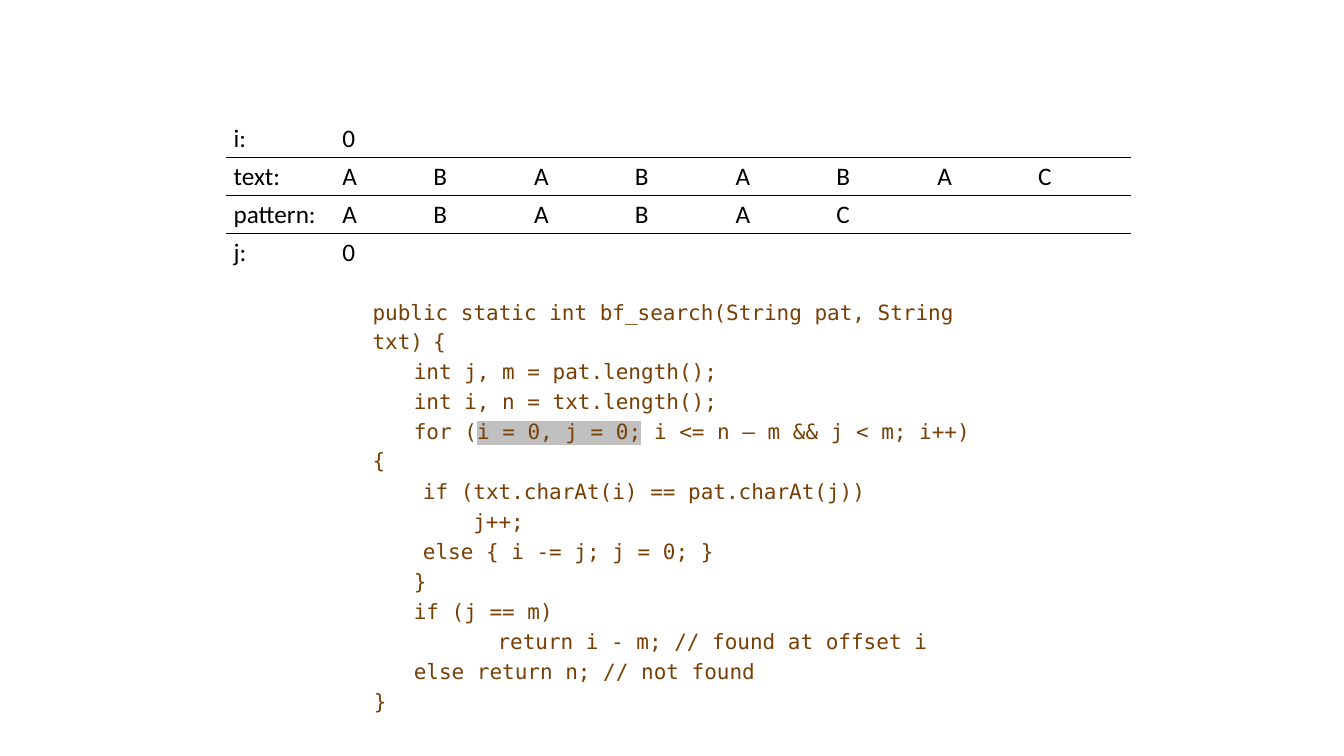
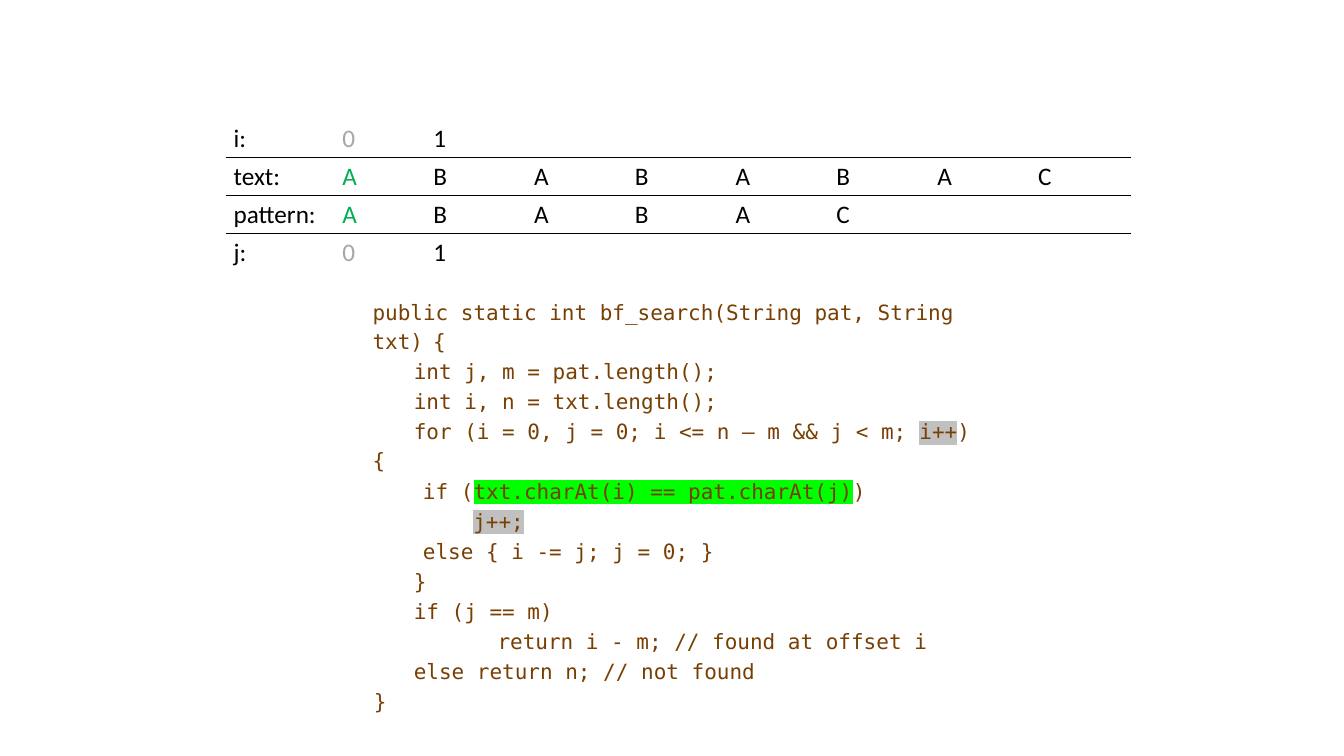
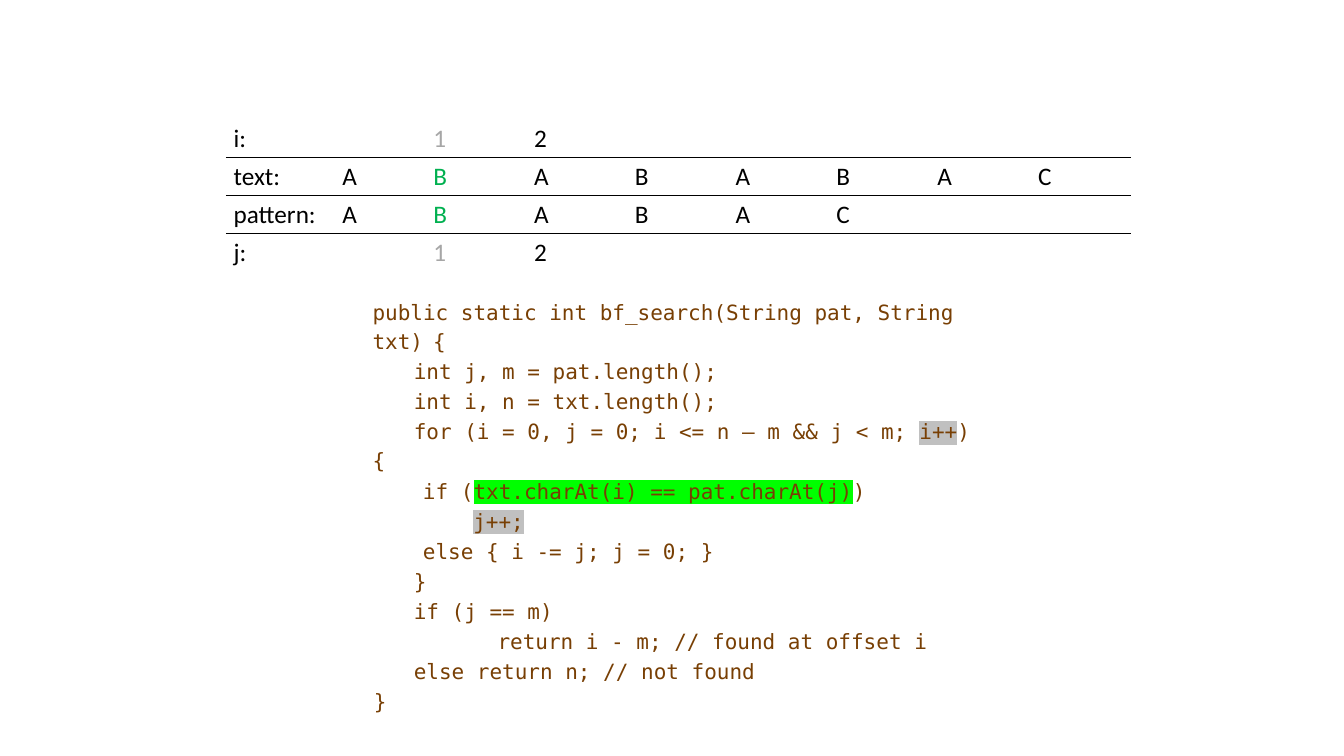
"""Build three slides that trace a brute-force substring search."""
from lxml import etree
from pptx import Presentation, util as u
from pptx.dml import color
from pptx.oxml import ns

TEXT, PATTERN = "ABABABAC", "ABABAC"
CODE = [
    (0, 0, "public static int bf_search(String pat, String txt) {"),
    (0, 1.04, "int j, m = pat.length();"),
    (0, 1.04, "int i, n = txt.length();"),
    (0, 1.04, "for (i = 0, j = 0; i <= n – m && j < m; i++) {"),
    (0, 1.04, "\tif (txt.charAt(i) == pat.charAt(j))"),
    (0, 1.04, "\t\tj++;"),
    (0, 1.04, "\telse { i -= j; j = 0; }"),
    (0, 1.04, "}"),
    (0, 1.04, "if (j == m)"),
    (2.11, 1.04, "return i - m; // found at offset i"),
    (0, 1.04, "else return n; // not found"),
    (0, 0.03, "}"),
]
SILVER, LIME = "C0C0C0", "00FF00"
START_MARKS = {"i = 0, j = 0;": SILVER}
MATCH_MARKS = {"i++": SILVER, "txt.charAt(i) == pat.charAt(j)": LIME, "j++;": SILVER}


def rgb(value):
    """Return the colour for a hex string."""
    return color.RGBColor.from_string(value)


def add_element(parent, tag, **attributes):
    """Append a drawing element to a parent element."""
    return etree.SubElement(parent, ns.qn(tag), attributes)


class TraceDeck:
    """Holds the shared style and the current slide."""

    BLACK, GREY, GREEN, BROWN = "000000", "A6A6A6", "00B050", "783F04"
    TABLE_FONT, CODE_FONT = "Calibri", "DejaVu Sans Mono"
    TABLE_SIZE, CODE_SIZE, GAP_SIZE = 18, 15, 12
    COLUMNS = [2.74, 2.29] + [2.54] * 7
    ROW_HEIGHT = 0.95
    TAB = 1.92

    def __init__(self):
        """Start an empty widescreen deck."""
        self.deck = Presentation()
        self.deck.slide_width, self.deck.slide_height = u.Cm(33.87), u.Cm(19.05)
        self.page = None

    def add_page(self):
        """Add a blank slide and make it current."""
        self.page = self.deck.slides.add_slide(self.deck.slide_layouts[6])

    def style(self, span, name, size, ink):
        """Set the font of one run."""
        span.font.name, span.font.size = name, u.Pt(size)
        span.font.color.rgb = rgb(ink)

    def add_code_span(self, para, content, size, mark=None):
        """Add one run of code, highlighted if a mark colour is given."""
        span = para.add_run()
        span.text = content
        self.style(span, self.CODE_FONT, size, self.BROWN)
        if mark:
            properties = span._r.get_or_add_rPr()
            highlight = add_element(properties, "a:highlight")
            add_element(highlight, "a:srgbClr", val=mark)
            properties.find(ns.qn("a:latin")).addprevious(highlight)

    def add_code_line(self, para, line, marks):
        """Fill a paragraph with one code line and its highlights."""
        body = line.removesuffix(" {")
        found = next((part for part in marks if part in body), "")
        before, _, after = body.partition(found) if found else (body, "", "")
        for content, mark in ((before, None), (found, marks.get(found)), (after, None)):
            if content:
                self.add_code_span(para, content, self.CODE_SIZE, mark)
        if body != line:
            self.add_code_span(para, " ", self.GAP_SIZE)
            self.add_code_span(para, "{", self.CODE_SIZE)

    def add_code(self, marks):
        """Add the program listing."""
        box = self.page.shapes.add_textbox(u.Cm(9.19), u.Cm(7.26), u.Cm(15.82), u.Cm(9.42))
        frame = box.text_frame
        frame.word_wrap = True
        frame.margin_left = frame.margin_right = u.Cm(0.2)
        frame.margin_top = frame.margin_bottom = u.Cm(0.2)
        for number, (margin, indent, line) in enumerate(CODE):
            para = frame.add_paragraph() if number else frame.paragraphs[0]
            properties = para._p.get_or_add_pPr()
            properties.set("marL", str(u.Cm(margin)))
            properties.set("indent", str(u.Cm(indent)))
            if "\t" in line:
                stops = add_element(properties, "a:tabLst")
                for stop in (1, 2):
                    add_element(stops, "a:tab", pos=str(u.Cm(stop * self.TAB)), algn="l")
            para.line_spacing = 1.15
            if number:
                para.space_before = u.Pt(0.8)
            self.add_code_line(para, line, marks)

    def set_borders(self, cell, ruled):
        """Draw black rules on the named sides and none on the others."""
        properties = cell._tc.get_or_add_tcPr()
        for side in "LRTB":
            line = add_element(properties, f"a:ln{side}", w=str(u.Pt(1)))
            if side in ruled:
                fill = add_element(line, "a:solidFill")
                add_element(fill, "a:srgbClr", val=self.BLACK)
            else:
                add_element(line, "a:noFill")

    def add_trace(self, position):
        """Add the table that shows the search at one position."""
        counter = {position - 1: str(position - 1), position: str(position)}
        rows = [("i:", counter, self.GREY),
                ("text:", dict(enumerate(TEXT)), self.GREEN),
                ("pattern:", dict(enumerate(PATTERN)), self.GREEN),
                ("j:", counter, self.GREY)]
        frame = self.page.shapes.add_table(
            len(rows), len(self.COLUMNS), u.Cm(5.69), u.Cm(3),
            u.Cm(sum(self.COLUMNS)), u.Cm(self.ROW_HEIGHT * len(rows)))
        table = frame.table
        table.first_row = table.horz_banding = False
        for column, width in zip(table.columns, self.COLUMNS):
            column.width = u.Cm(width)
        for number, (label, values, passed) in enumerate(rows):
            table.rows[number].height = u.Cm(self.ROW_HEIGHT)
            ruled = ("T" if number else "") + ("B" if number < len(rows) - 1 else "")
            for place in range(-1, len(self.COLUMNS) - 1):
                cell = table.cell(number, place + 1)
                cell.margin_left = cell.margin_right = u.Cm(0.2)
                cell.margin_top = cell.margin_bottom = u.Cm(0.1)
                self.set_borders(cell, ruled)
                cell.fill.background()
                cell.text_frame.text = label if place < 0 else values.get(place, "")
                ink = passed if 0 <= place == position - 1 else self.BLACK
                for span in cell.text_frame.paragraphs[0].runs:
                    self.style(span, self.TABLE_FONT, self.TABLE_SIZE, ink)


def main():
    """Build and save the deck."""
    trace = TraceDeck()
    for position, marks in enumerate((START_MARKS, MATCH_MARKS, MATCH_MARKS)):
        trace.add_page()
        trace.add_code(marks)
        trace.add_trace(position)
    trace.deck.save("out.pptx")


if __name__ == "__main__":
    main()
